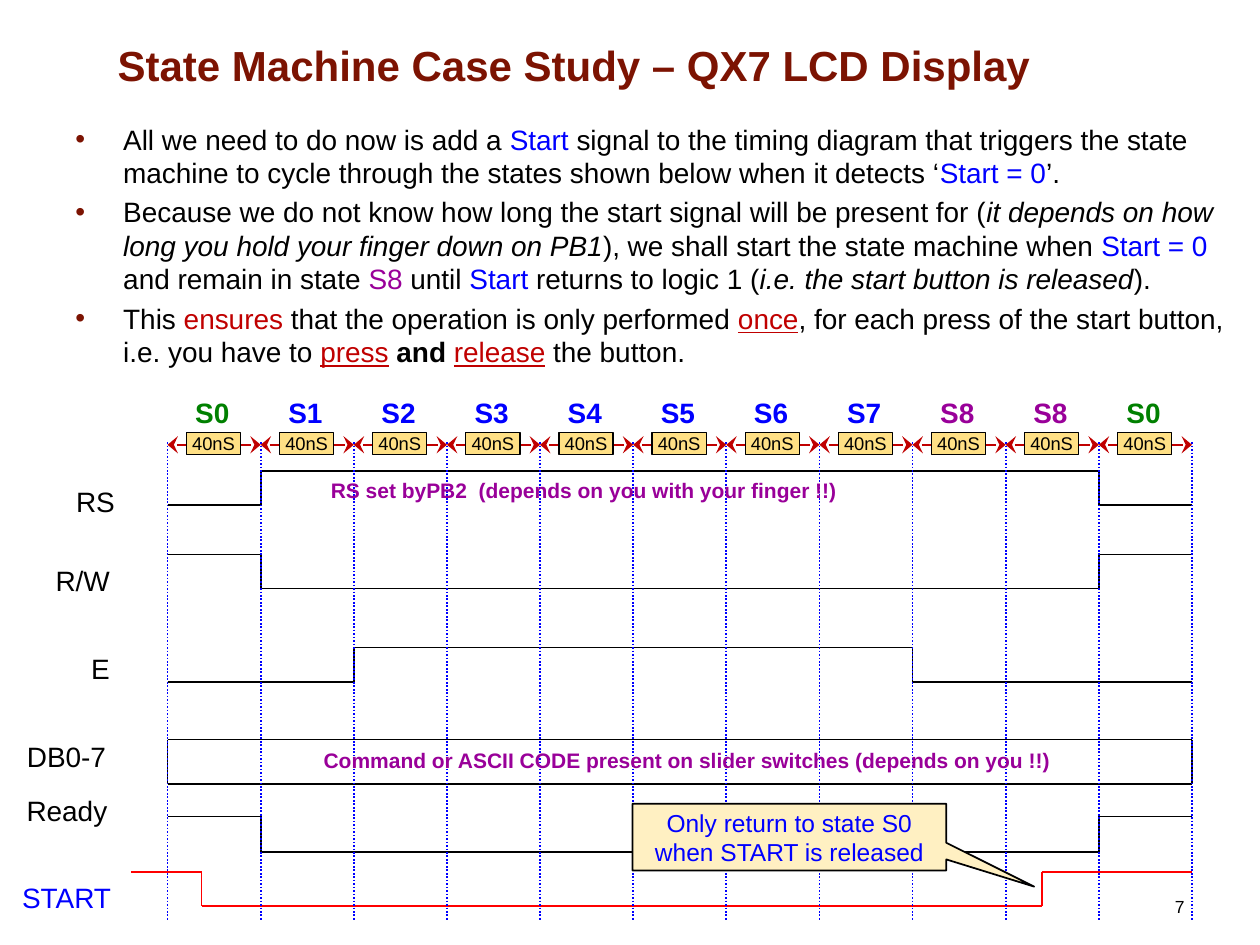
"""Build the LCD display state machine slide with its timing diagram."""
from itertools import pairwise
from lxml.etree import SubElement
from pptx import Presentation
from pptx.dml.color import RGBColor
from pptx.enum.dml import MSO_LINE
from pptx.enum.shapes import MSO_CONNECTOR, MSO_SHAPE
from pptx.enum.text import MSO_ANCHOR, PP_ALIGN
from pptx.oxml.ns import qn
from pptx.util import Inches, Pt

COLORS = {
    "maroon": "7C1302", "black": "000000", "blue": "0000FF", "purple": "990099",
    "green": "008000", "crimson": "C00000", "red": "FF0000",
    "amber": "FFE085", "cream": "FFF0C2",
}

deck = Presentation()
deck.slide_width, deck.slide_height = Inches(10), Inches(7.5)
page = deck.slides.add_slide(deck.slide_layouts[6])


def write(box, paragraphs, size, align, anchor=MSO_ANCHOR.TOP):
    """Fill a box with paragraphs, each a list of (text, style words)."""
    frame = box.text_frame
    frame.word_wrap = True
    frame.vertical_anchor = anchor
    for index, pieces in enumerate(paragraphs):
        para = frame.add_paragraph() if index else frame.paragraphs[0]
        para.alignment = align
        for text, style in pieces:
            words = style.split()
            span = para.add_run()
            span.text = text
            span.font.name = "Arial"
            span.font.size = Pt(size)
            span.font.color.rgb = RGBColor.from_string(COLORS[words[0]])
            span.font.bold = "bold" in words
            span.font.italic = "italic" in words
            span.font.underline = "underline" in words
    return frame


def draw_line(start, end, color):
    """Draw a thin straight connector without a shadow."""
    line = page.shapes.add_connector(
        MSO_CONNECTOR.STRAIGHT, *[Inches(value) for value in (*start, *end)])
    line.line.color.rgb = RGBColor.from_string(COLORS[color])
    line.line.width = Pt(1)
    SubElement(line._element.spPr, qn("a:effectLst"))
    return line


states = [("S0", "green")] + [(f"S{n}", "blue") for n in range(1, 8)]
states += [("S8", "purple"), ("S8", "purple"), ("S0", "green")]
left, right = 1.33, 9.46
slot = (right - left) / len(states)
edges = [left + slot * index for index in range(len(states) + 1)]

bullets = [
    [("All we need to do now is add a ", "black"), ("Start", "blue"),
     (" signal to the timing diagram that triggers the state machine to cycle "
      "through the states shown below when it detects ‘", "black"),
     ("Start = 0", "blue"), ("’.", "black")],
    [("Because we do not know how long the start signal will be present for (", "black"),
     ("it depends on how long you hold your finger down on PB1", "black italic"),
     ("), we shall start the state machine when ", "black"), ("Start = 0", "blue"),
     (" and remain in state ", "black"), ("S8 ", "purple"), ("until ", "black"),
     ("Start", "blue"), (" returns to logic 1 (", "black"),
     ("i.e. the start button is released", "black italic"), (").", "black")],
    [("This ", "black"), ("ensures", "crimson"),
     (" that the operation is only performed ", "black"), ("once", "crimson underline"),
     (", for each press of the start button, i.e. you have to ", "black"),
     ("press", "crimson underline"), (" ", "black"), ("and ", "black bold"),
     ("release", "crimson underline"), (" the button.", "black")],
]
body = page.shapes.add_textbox(Inches(0.5), Inches(0.92), Inches(9.33), Inches(2.1))
for para in write(body, bullets, 16, PP_ALIGN.LEFT).paragraphs:
    para.space_before = Pt(3.2)
    properties = para._p.get_or_add_pPr()
    properties.set("marL", str(Inches(0.38)))
    properties.set("indent", str(-Inches(0.38)))
    bullet_color = SubElement(properties, qn("a:buClr"))
    SubElement(bullet_color, qn("a:srgbClr"), val=COLORS["maroon"])
    SubElement(properties, qn("a:buSzPct"), val="100000")
    SubElement(properties, qn("a:buFont"), typeface="Arial")
    SubElement(properties, qn("a:buChar"), char="•")

waves = [
    ("black", [(left, 4.01), (edges[1], 4.01), (edges[1], 3.74),
               (edges[10], 3.74), (edges[10], 4.01), (right, 4.01)]),
    ("black", [(left, 4.4), (edges[1], 4.4), (edges[1], 4.67),
               (edges[10], 4.67), (edges[10], 4.4), (right, 4.4)]),
    ("black", [(left, 5.41), (edges[2], 5.41), (edges[2], 5.14),
               (edges[8], 5.14), (edges[8], 5.41), (right, 5.41)]),
    ("black", [(left, 5.87), (right, 5.87), (right, 6.22), (left, 6.22), (left, 5.87)]),
    ("black", [(left, 6.48), (edges[1], 6.48), (edges[1], 6.76),
               (edges[10], 6.76), (edges[10], 6.48), (right, 6.48)]),
    ("red", [(1.04, 6.92), (1.6, 6.92), (1.6, 7.19),
             (8.27, 7.19), (8.27, 6.92), (right, 6.92)]),
]
for color, points in waves:
    for start, end in pairwise(points):
        draw_line(start, end, color)

for edge in edges:
    draw_line((edge, 3.51), (edge, 7.31), "blue").line.dash_style = MSO_LINE.ROUND_DOT

labels = [
    ("State Machine Case Study – QX7 LCD Display", "maroon bold", 24, PP_ALIGN.CENTER,
     (0.43, 0.21, 8.25, 0.55), MSO_ANCHOR.BOTTOM),
    ("RS set byPB2  (depends on you with your finger !!)", "purple bold", 12,
     PP_ALIGN.CENTER, (1.8, 3.74, 5.67, 0.3), MSO_ANCHOR.TOP),
    ("Command or ASCII CODE present on slider switches (depends on you !!)",
     "purple bold", 12, PP_ALIGN.CENTER, (2.39, 5.88, 6.13, 0.3), MSO_ANCHOR.TOP),
    ("7", "black", 10, PP_ALIGN.RIGHT, (7.17, 7.06, 2.33, 0.28), MSO_ANCHOR.TOP),
]
signals = [("RS", 1.01, 3.8), ("R/W", 0.97, 4.42), ("E", 0.97, 5.12),
           ("DB0-7", 0.94, 5.82), ("Ready", 0.95, 6.25), ("START", 0.98, 6.94)]
for name, end, top in signals:
    color = "blue" if name == "START" else "black"
    labels.append((name, color, 16, PP_ALIGN.RIGHT, (0.05, top, end - 0.05, 0.37),
                   MSO_ANCHOR.TOP))

for (state, color), edge in zip(states, edges):
    labels.append((state, f"{color} bold", 16, PP_ALIGN.CENTER,
                   (edge + 0.03, 3.09, 0.65, 0.37), MSO_ANCHOR.TOP))
    arrow = draw_line((edge, 3.53), (edge + slot, 3.53), "crimson")
    outline = arrow.line._get_or_add_ln()
    for tip in ("a:headEnd", "a:tailEnd"):
        SubElement(outline, qn(tip), type="stealth", w="lg", len="med")

for text, style, size, align, area, anchor in labels:
    box = page.shapes.add_textbox(*[Inches(value) for value in area])
    write(box, [[(text, style)]], size, align, anchor)

panels = [(MSO_SHAPE.RECTANGLE, (edge + 0.15, 3.43, 0.43, 0.18), "amber", 0.75,
           "40nS", "black", 10.5, MSO_ANCHOR.TOP) for edge in edges[:-1]]
panels.append((MSO_SHAPE.RECTANGULAR_CALLOUT, (5.02, 6.38, 2.49, 0.53), "cream", 1,
               "Only return to state S0 when START is released", "blue", 14,
               MSO_ANCHOR.MIDDLE))
for kind, area, fill, width, text, color, size, anchor in panels:
    panel = page.shapes.add_shape(kind, *[Inches(value) for value in area])
    panel.shadow.inherit = False
    panel.fill.solid()
    panel.fill.fore_color.rgb = RGBColor.from_string(COLORS[fill])
    panel.line.color.rgb = RGBColor.from_string(COLORS["black"])
    panel.line.width = Pt(width)
    frame = write(panel, [[(text, color)]], size, PP_ALIGN.CENTER, anchor)
    if kind == MSO_SHAPE.RECTANGLE:
        frame.margin_left = frame.margin_right = frame.margin_top = frame.margin_bottom = 0
    else:
        panel.adjustments[0], panel.adjustments[1] = 0.78, 0.74

deck.save("out.pptx")
